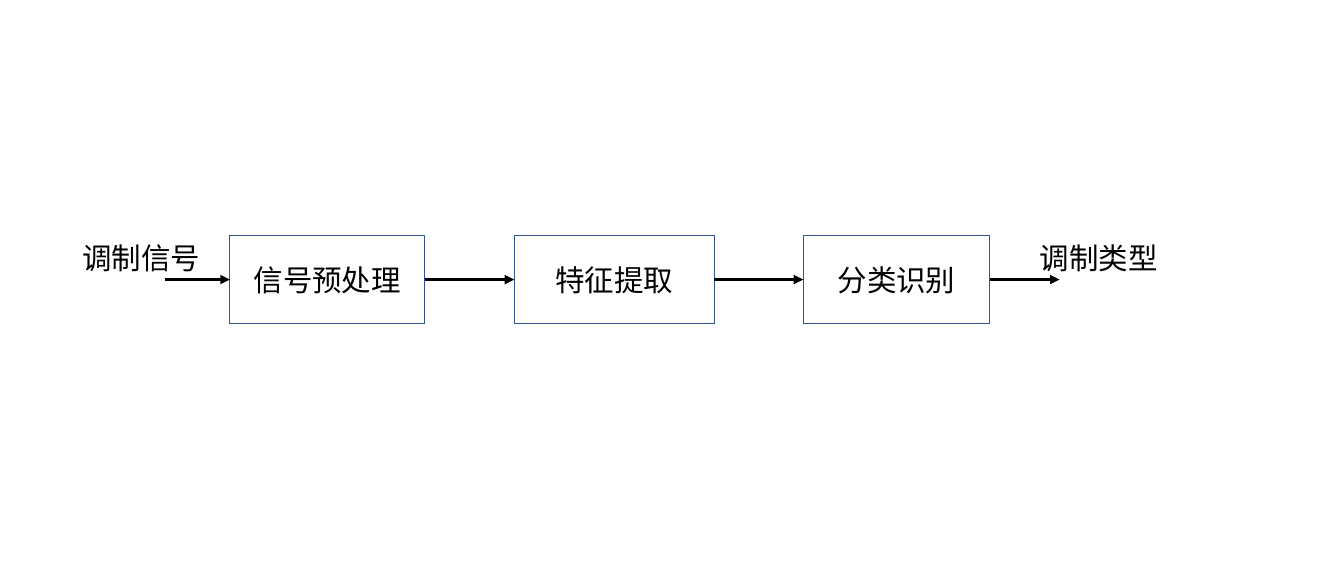
from lxml import etree
from pptx import Presentation
from pptx.dml.color import RGBColor
from pptx.enum.shapes import MSO_CONNECTOR, MSO_SHAPE
from pptx.enum.text import MSO_ANCHOR, MSO_AUTO_SIZE, PP_ALIGN
from pptx.oxml.ns import qn
from pptx.util import Inches, Pt

RECTANGLE = MSO_SHAPE.RECTANGLE
STRAIGHT = MSO_CONNECTOR.STRAIGHT
MIDDLE = MSO_ANCHOR.MIDDLE
CENTER = PP_ALIGN.CENTER
GROW = MSO_AUTO_SIZE.SHAPE_TO_FIT_TEXT

BLACK = RGBColor(0x00, 0x00, 0x00)
WHITE = RGBColor(0xFF, 0xFF, 0xFF)
BLUE = RGBColor(0x32, 0x54, 0x91)
FONT = "Noto Sans CJK SC"

# Grid: one row of stages, each stage spanning a left and a right column edge
SLIDE_WIDTH, SLIDE_HEIGHT = 17.72, 7.5
ROW_TOP, ROW_HEIGHT = 3.11, 1.15
AXIS = ROW_TOP + ROW_HEIGHT / 2
LABEL_WIDTH, LABEL_HEIGHT = 2.57, ROW_HEIGHT / 2
SIGNAL_START, TYPE_END = 2.17, 13.97
STAGES = [
    ("信号预处理", 3.03, 5.6),
    ("特征提取", 6.78, 9.42),
    ("分类识别", 10.59, 13.05),
]
LABELS = [("调制信号", 0.58), ("调制类型", 13.2)]


def write_text(text_frame, text):
    text_frame.word_wrap = True
    paragraph = text_frame.paragraphs[0]
    paragraph.alignment = CENTER
    run = paragraph.add_run()
    run.text = text
    run.font.size = Pt(28)
    run.font.name = FONT
    run.font.color.rgb = BLACK
    # East Asian typeface follows the latin one
    latin = run.font._element.find(qn("a:latin"))
    east_asian = etree.Element(qn("a:ea"), typeface=FONT)
    latin.addnext(east_asian)


def add_stage(slide, text, left, right):
    shape = slide.shapes.add_shape(
        RECTANGLE, Inches(left), Inches(ROW_TOP),
        Inches(right - left), Inches(ROW_HEIGHT))
    shape.shadow.inherit = False
    shape.fill.solid()
    shape.fill.fore_color.rgb = WHITE
    shape.line.color.rgb = BLUE
    shape.line.width = Pt(1)
    shape.text_frame.vertical_anchor = MIDDLE
    write_text(shape.text_frame, text)


def add_label(slide, text, left):
    label = slide.shapes.add_textbox(
        Inches(left), Inches(ROW_TOP),
        Inches(LABEL_WIDTH), Inches(LABEL_HEIGHT))
    write_text(label.text_frame, text)
    label.text_frame.auto_size = GROW


def add_arrow(slide, start, end):
    connector = slide.shapes.add_connector(
        STRAIGHT, Inches(start), Inches(AXIS), Inches(end), Inches(AXIS))
    connector.line.color.rgb = BLACK
    connector.line.width = Pt(3)
    properties = connector._element.spPr
    line = properties.find(qn("a:ln"))
    etree.SubElement(line, qn("a:tailEnd"), type="triangle")
    etree.SubElement(properties, qn("a:effectLst"))


def main():
    presentation = Presentation()
    presentation.slide_width = Inches(SLIDE_WIDTH)
    presentation.slide_height = Inches(SLIDE_HEIGHT)
    slide = presentation.slides.add_slide(presentation.slide_layouts[6])

    # Input and output labels
    for text, left in LABELS:
        add_label(slide, text, left)

    # Processing stages
    for text, left, right in STAGES:
        add_stage(slide, text, left, right)

    # Arrows run from each right edge to the next left edge
    starts = [SIGNAL_START] + [right for _, _, right in STAGES]
    ends = [left for _, left, _ in STAGES] + [TYPE_END]
    for start, end in zip(starts, ends):
        add_arrow(slide, start, end)

    presentation.save("out.pptx")


if __name__ == "__main__":
    main()
